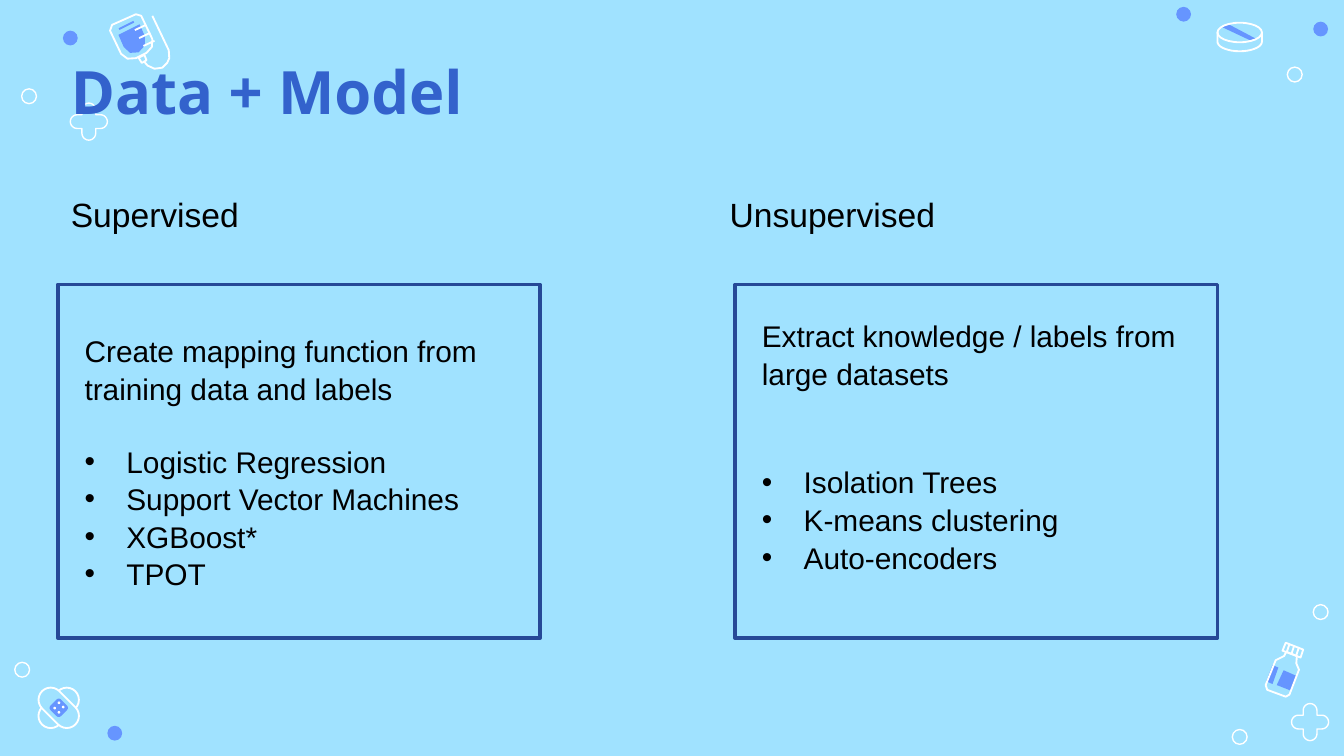
"""Build the Data + Model slide comparing supervised and unsupervised learning."""
import math

from lxml import etree
from pptx import Presentation
from pptx import util as u
from pptx.dml.color import RGBColor
from pptx.enum import shapes, text
from pptx.oxml.ns import qn

COLOURS = {"sky": "A0E2FF", "accent": "6695FF", "white": "FFFFFF",
           "title": "3362CC", "frame": "264997", "body": "000000"}


def paint(part, fill=None, line=None, weight=0.75):
    part.shadow.inherit = False
    for target, colour in ((part.fill, fill), (part.line.fill, line)):
        if colour:
            target.solid()
            target.fore_color.rgb = RGBColor.from_string(COLOURS[colour])
        else:
            target.background()
    if line:
        part.line.width = u.Pt(weight)
    return part


def trace(points, fill=None, line="white", close=True):
    corners = [(u.Cm(x), u.Cm(y)) for x, y in points]
    builder = slide.shapes.build_freeform(*corners[0])
    builder.add_line_segments(corners[1:], close=close)
    return paint(builder.convert_to_shape(), fill, line, 1)


prs = Presentation()
prs.slide_width, prs.slide_height = u.Cm(25.4), u.Cm(14.29)
slide = prs.slides.add_slide(prs.slide_layouts[6])
slide.background.fill.solid()
slide.background.fill.fore_color.rgb = RGBColor.from_string(COLOURS["sky"])
preset = shapes.MSO_SHAPE

dots = {
    "accent": [(1.19, 0.58), (2.03, 13.72), (24.82, 0.41), (22.23, 0.13)],
    "white": [(0.41, 1.68), (0.28, 12.52), (24.33, 1.27), (24.82, 11.43), (23.29, 13.79)],
}
for colour, corners in dots.items():
    for x, y in corners:
        dot = slide.shapes.add_shape(preset.OVAL, u.Cm(x), u.Cm(y), u.Cm(0.28), u.Cm(0.28))
        if colour == "accent":
            paint(dot, fill=colour)
        else:
            paint(dot, line=colour)

for cross_x, cross_y in [(1.68, 2.3), (24.76, 13.65)]:
    outline = []
    for arm in (0, 90, 180, 270):
        turn = math.radians(arm)
        cos, sin = math.cos(turn), math.sin(turn)
        tip = [(0.22 + 0.13 * math.cos(math.radians(a)), 0.13 * math.sin(math.radians(a)))
               for a in range(-90, 91, 15)]
        outline += [(cross_x + x * cos - y * sin, cross_y + x * sin + y * cos)
                    for x, y in tip + [(0.13, 0.13)]]
    trace(outline).line.width = u.Pt(0.75)

trace([(23.22, 0.46), (23.09, 0.51), (23.62, 0.76), (23.75, 0.74)], "accent", None)
pill_top = slide.shapes.add_shape(preset.OVAL, u.Cm(23.01), u.Cm(0.43), u.Cm(0.84), u.Cm(0.37))
paint(pill_top, line="white", weight=1)
pill_base = [(23.43 - 0.42 * math.cos(math.radians(a)), 0.79 + 0.18 * math.sin(math.radians(a)))
             for a in range(0, 181, 10)]
trace([(23.01, 0.61)] + pill_base + [(23.85, 0.61)], close=False)

trace([(24.05, 12.57), (23.93, 12.88), (24.05, 12.93), (24.16, 12.62)], "accent", None)
trace([(24.26, 12.67), (24.13, 12.95), (24.41, 13.06), (24.51, 12.78)], "accent", None)
trace([(24.31, 12.32), (24.27, 12.4), (24.11, 12.48), (23.92, 12.95), (23.95, 13.04),
       (24.3, 13.17), (24.37, 13.13), (24.55, 12.66), (24.5, 12.54), (24.51, 12.4)])
trace([(24.3, 12.15), (24.24, 12.3), (24.58, 12.43), (24.63, 12.28)])

trace([(2.24, 0.66), (2.34, 0.89), (2.46, 1), (2.62, 0.99), (2.74, 0.86), (2.74, 0.69),
       (2.64, 0.46)], "accent", None)
trace([(2.57, 0.27), (2.67, 0.3), (2.88, 0.74), (2.87, 0.89), (2.77, 1), (2.57, 1.1),
       (2.41, 1.11), (2.29, 1.02), (2.08, 0.58), (2.12, 0.47)])
trace([(2.73, 1.04), (2.62, 1.09), (2.68, 1.19), (2.77, 1.14)])
trace([(2.88, 0.3), (3.19, 0.95), (3.2, 1.1), (3.16, 1.19), (3.07, 1.28), (2.92, 1.3),
       (2.79, 1.24), (2.73, 1.17)], close=False)

ticks = [(2.25, 0.55, 2.53, 0.41, "accent")]
for i in range(3):
    ticks.append((24.37 + 0.09 * i, 12.17 + 0.03 * i, 24.32 + 0.09 * i, 12.32 + 0.03 * i, "white"))
    ticks.append((2.55 + 0.08 * i, 0.57 + 0.15 * i, 2.76 + 0.08 * i, 0.47 + 0.15 * i, "white"))
for *ends, colour in ticks:
    tick = slide.shapes.add_connector(shapes.MSO_CONNECTOR.STRAIGHT, *[u.Cm(v) for v in ends])
    tick.line.color.rgb = RGBColor.from_string(COLOURS[colour])
    tick.line.width = u.Pt(1)
    etree.SubElement(tick._element.spPr, qn("a:effectLst"))

plaster = [
    (0.89, 0.46, 0.5, -45, None, "white"),
    (0.89, 0.46, 0.5, 45, "sky", "white"),
    (0.28, 0.28, 0.2, 45, "accent", None),
]
for width, height, rounding, angle, fill, line in plaster:
    strip = slide.shapes.add_shape(preset.ROUNDED_RECTANGLE, u.Cm(1.11 - width / 2),
                                   u.Cm(13.38 - height / 2), u.Cm(width), u.Cm(height))
    strip.adjustments[0] = rounding
    strip.rotation = angle
    paint(strip, fill, line, 1)
for x, y in [(1.01, 13.36), (1.09, 13.26), (1.09, 13.44), (1.17, 13.34)]:
    hole = slide.shapes.add_shape(preset.OVAL, u.Cm(x), u.Cm(y), u.Cm(0.05), u.Cm(0.05))
    paint(hole, fill="white")

arial = {"name": "Arial", "bold": False}
headings = [
    ("Data + Model", 1.09, 0.48, 10.34, 2.16, "title", 0.25,
     {"name": "Open Sans", "size": u.Pt(32), "bold": True}),
    ("Supervised", 1.09, 3.53, 3.71, 1.02, "body", 0.13, {**arial, "size": u.Pt(18)}),
    ("Unsupervised", 13.54, 3.53, 4.42, 1.02, "body", 0.13, {**arial, "size": u.Pt(18)}),
]
for words, left, top, width, height, colour, inset, font in headings:
    heading = slide.shapes.add_textbox(u.Cm(left), u.Cm(top), u.Cm(width), u.Cm(height))
    frame = heading.text_frame
    layout = {"word_wrap": colour == "title", "margin_top": u.Cm(inset),
              "margin_bottom": u.Cm(inset),
              "vertical_anchor": text.MSO_ANCHOR.BOTTOM if colour == "title" else text.MSO_ANCHOR.TOP}
    for key, value in layout.items():
        setattr(frame, key, value)
    run = frame.paragraphs[0].add_run()
    run.text = words
    for key, value in font.items():
        setattr(run.font, key, value)
    run.font.color.rgb = RGBColor.from_string(COLOURS[colour])

panels = [
    (1.09, 0.25, 0.25, 19, "Create mapping function from training data and labels",
     ["Logistic Regression", "Support Vector Machines", "XGBoost*", "TPOT"]),
    (13.89, 0.51, 1.1, 38, "Extract knowledge / labels from large datasets",
     ["Isolation Trees", "K-means clustering", "Auto-encoders"]),
]
for left, inset_top, inset_bottom, gap, goal, methods in panels:
    panel = slide.shapes.add_shape(preset.RECTANGLE, u.Cm(left), u.Cm(5.38), u.Cm(9.12), u.Cm(6.68))
    paint(panel, line="frame", weight=2)
    frame = panel.text_frame
    layout = {"word_wrap": True, "vertical_anchor": text.MSO_ANCHOR.MIDDLE,
              "margin_left": u.Cm(0.51), "margin_right": u.Cm(0.51),
              "margin_top": u.Cm(inset_top), "margin_bottom": u.Cm(inset_bottom)}
    for key, value in layout.items():
        setattr(frame, key, value)
    for i, words in enumerate([goal] + methods):
        entry = frame.add_paragraph() if i else frame.paragraphs[0]
        spacing = {"alignment": text.PP_ALIGN.LEFT, "line_spacing": 1.05,
                   "space_before": u.Pt(gap if i == 1 else 0)}
        for key, value in spacing.items():
            setattr(entry, key, value)
        run = entry.add_run()
        run.text = words
        for key, value in {**arial, "size": u.Pt(16)}.items():
            setattr(run.font, key, value)
        run.font.color.rgb = RGBColor.from_string(COLOURS["body"])
        if i:
            props = entry._p.get_or_add_pPr()
            props.set("marL", str(u.Cm(0.79)))
            props.set("indent", str(-u.Cm(0.79)))
            etree.SubElement(props, qn("a:buFont")).set("typeface", "Arial")
            etree.SubElement(props, qn("a:buChar")).set("char", "•")

prs.save("out.pptx")
